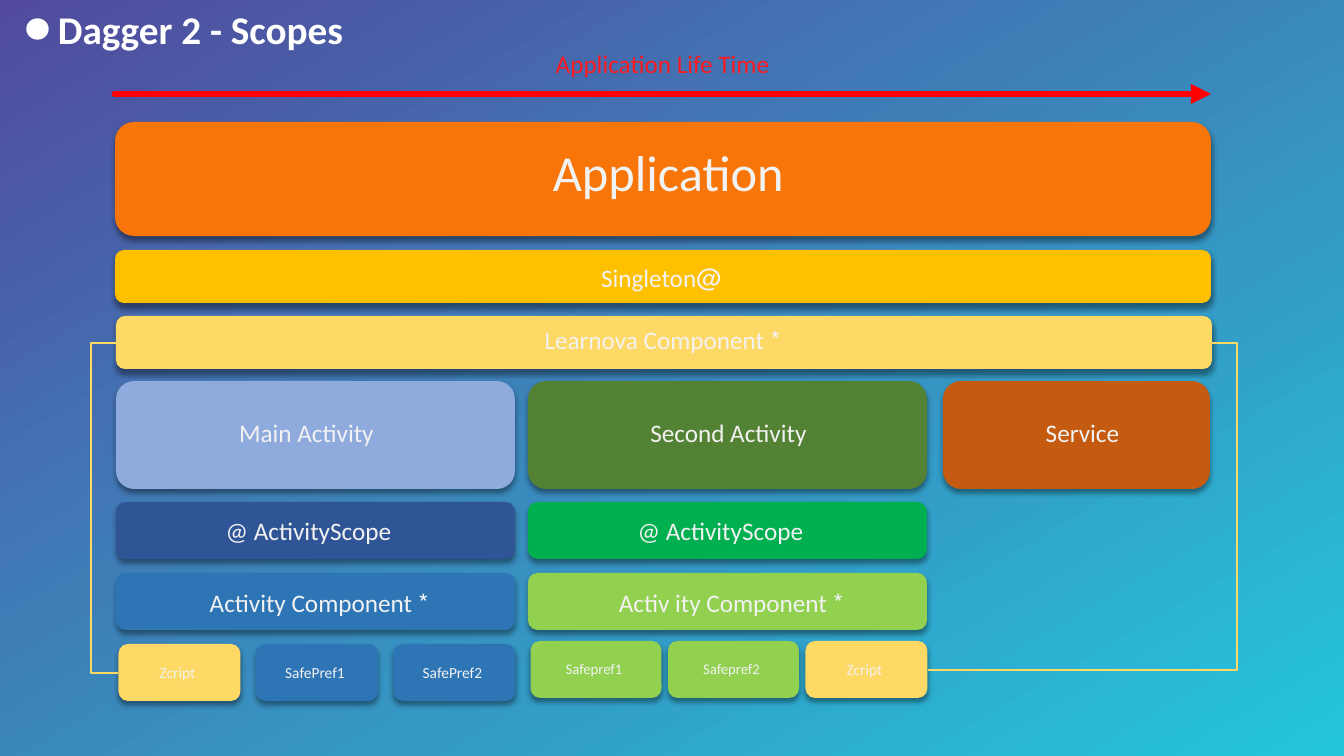
from lxml.etree import SubElement
from pptx import Presentation
from pptx.dml.color import RGBColor
from pptx.enum.shapes import MSO_CONNECTOR as CONNECTOR, MSO_SHAPE as SHAPE
from pptx.enum.text import MSO_AUTO_SIZE as AUTO_SIZE, PP_ALIGN as ALIGN
from pptx.oxml.ns import qn
from pptx.util import Emu, Pt

SCALE = 914400 / 100.8
COLORS = {
    "purple": "514A9D", "cyan": "24C6DC", "white": "FFFFFF", "light": "F2F2F2",
    "red": "FF0000", "caption": "FF191E", "orange": "F77509", "amber": "FFC000",
    "yellow": "FFD966", "periwinkle": "8FAADC", "forest": "548235", "rust": "C55A11",
    "navy": "2F5597", "blue": "2E75B6", "green": "00B050", "lime": "92D050",
}


def px(*values):
    return [Emu(round(value * SCALE)) for value in values]


def rgb(name):
    return RGBColor.from_string(COLORS[name])


def add_text(slide, text, box, size=18, color="light", bold=False,
             align=ALIGN.CENTER, rtl=False, fill=None):
    shape = slide.shapes.add_textbox(*px(*box))
    if fill:
        shape.fill.solid()
        shape.fill.fore_color.rgb = rgb(fill)
    frame = shape.text_frame
    frame.word_wrap = True
    frame.auto_size = AUTO_SIZE.SHAPE_TO_FIT_TEXT
    paragraph = frame.paragraphs[0]
    paragraph.alignment = align
    if rtl:
        paragraph._p.get_or_add_pPr().set("rtl", "1")
    run = paragraph.add_run()
    run.text = text
    run.font.name = "Calibri"
    run.font.size = Pt(size)
    run.font.bold = bold
    run.font.color.rgb = rgb(color)


def add_block(slide, box, color):
    """Rounded block with a soft shadow below it."""
    shape = slide.shapes.add_shape(SHAPE.ROUNDED_RECTANGLE, *px(*box))
    shape.fill.solid()
    shape.fill.fore_color.rgb = rgb(color)
    shape.line.fill.background()
    effects = SubElement(shape._element.spPr, qn("a:effectLst"))
    shadow = SubElement(effects, qn("a:outerShdw"), blurRad=str(Pt(4)), dist=str(Pt(3)),
                        dir="5400000", algn="t", rotWithShape="0")
    black = SubElement(shadow, qn("a:srgbClr"), val="000000")
    SubElement(black, qn("a:alpha"), val="40000")


def add_line(slide, kind, start, end, color, width, bend=None, arrow=False):
    line = slide.shapes.add_connector(kind, *px(*start, *end))
    line.line.color.rgb = rgb(color)
    line.line.width = Pt(width)
    properties = line._element.spPr
    if bend is not None:
        guides = properties.find(qn("a:prstGeom")).get_or_add_avLst()
        SubElement(guides, qn("a:gd"), name="adj1", fmla=f"val {round(bend * 100000)}")
    if arrow:
        outline = line.line._get_or_add_ln()
        outline.set("cap", "rnd")
        SubElement(outline, qn("a:tailEnd"), type="triangle")
    SubElement(properties, qn("a:effectLst"))


def labelled_block(slide, box, color, text, inset, **style):
    """Block whose label sits at inset: dx, dy, width, height."""
    left, top = box[:2]
    dx, dy, width, height = inset
    add_block(slide, box, color)
    add_text(slide, text, (left + dx, top + dy, width, height), **style)


def draw_background(slide):
    fill = slide.background.fill
    fill.gradient()
    fill.gradient_angle = 300
    for stop, position, color in zip(fill.gradient_stops, (0, 1), ("purple", "cyan")):
        stop.position = position
        stop.color.rgb = rgb(color)


def draw_heading(slide, box):
    left, top, width, height = box
    add_text(slide, "Dagger 2 - Scopes", (left + 21, top, width - 21, height),
             size=28, color="white", bold=True, align=ALIGN.LEFT)
    bullet = slide.shapes.add_shape(SHAPE.OVAL, *px(left, top + 19, 21, 20))
    bullet.shadow.inherit = False
    bullet.fill.solid()
    bullet.fill.fore_color.rgb = rgb("white")
    bullet.line.color.rgb = rgb("white")
    bullet.line.width = Pt(1)


def draw_application(slide, box):
    left, top, width, height = box
    # Life time arrow
    add_line(slide, CONNECTOR.STRAIGHT, (left, top + 51), (left + width, top + 51),
             "red", 4.75, arrow=True)
    add_text(slide, "Application Life Time", (left + 382, top, 331, 40),
             color="caption", rtl=True)
    # Application, its scope and its component
    bars = [
        (0, 79, 114, "orange", "Application ", (394, 14, 306, 72), 36),
        (0, 207, 53, "amber", "@Singleton", (413, 7, 267, 40), 18),
        (1, 273, 53, "yellow", "* Learnova Component", (403, 3, 287, 40), 18),
    ]
    for dx, dy, bar_height, color, text, inset, size in bars:
        labelled_block(slide, (left + dx, top + dy, width, bar_height), color, text,
                       inset, size=size, rtl=True)


def draw_activity(slide, box, title, title_dx, colors, component, tiles, tile_top, plate=None):
    """Activity column: activity, scope, component and a row of tiles."""
    left, top, width, height = box
    rows = [
        (0, 108, title, (title_dx, 31, 267, 40), False, None),
        (121, 57, "@ ActivityScope", (59, 8, 267, 40), False, None),
        (192, 57, component, (38, 9, 330, 40), True, plate),
    ]
    for (dy, row_height, text, inset, rtl, fill), color in zip(rows, colors):
        labelled_block(slide, (left, top + dy, width, row_height), color, text, inset,
                       rtl=rtl, fill=fill)
    for index, (text, color, tile_width, size) in enumerate(tiles):
        tile = (left + 2.5 + 137.5 * index, top + tile_top, tile_width, 57)
        labelled_block(slide, tile, color, text, (9, 14, tile_width - 22, 29),
                       size=size, rtl=True, fill=plate if color == plate else None)


def draw_links(slide, box):
    """Lines from the application component round to the two Zcript tiles."""
    left, top, width, height = box
    add_line(slide, CONNECTOR.ELBOW, (left, top), (left + 2, top + height),
             "yellow", 1.5, bend=-25 / 2)
    add_line(slide, CONNECTOR.ELBOW, (left + width, top), (left + 812, top + height - 3),
             "yellow", 1.5, bend=-25 / (width - 812))


presentation = Presentation()
presentation.slide_width, presentation.slide_height = px(1344, 756)
slide = presentation.slides.add_slide(presentation.slide_layouts[6])

draw_background(slide)
draw_heading(slide, (27, 0, 368, 57))
draw_application(slide, (115, 43, 1096, 326))
draw_activity(slide, (116, 381, 399, 320), "Main Activity", 57,
              ("periwinkle", "navy", "blue"), "* Activity Component",
              [("Zcript", "yellow", 122, 11), ("SafePref1", "blue", 122, 11),
               ("SafePref2", "blue", 122, 11)], 263, plate="blue")
draw_activity(slide, (528, 381, 399, 317), "Second Activity", 67,
              ("forest", "green", "lime"), "* Activ ity Component",
              [("Safepref1", "lime", 131, 10.5), ("Safepref2", "lime", 131, 10.5),
               ("Zcript", "yellow", 122, 11)], 260)
labelled_block(slide, (943, 381, 267, 108), "rust", "Service", (6, 31, 267, 40), rtl=True)
draw_links(slide, (116, 343, 1096, 330))

presentation.save("out.pptx")
